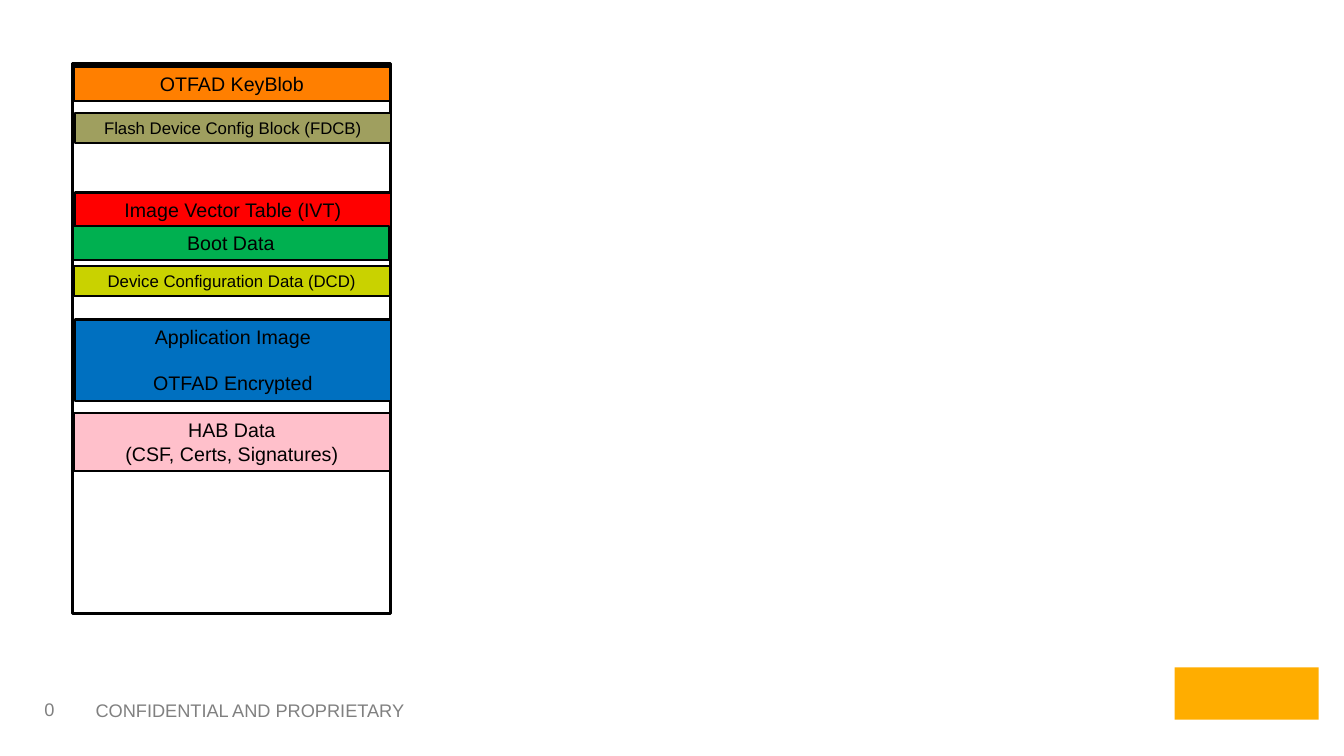
"""Build the slide showing the layout of an encrypted boot image in flash."""
from pptx import Presentation
from pptx.dml.color import RGBColor
from pptx.enum.shapes import MSO_SHAPE
from pptx.enum.text import MSO_ANCHOR, PP_ALIGN
from pptx.util import Inches, Pt

RECT = MSO_SHAPE.RECTANGLE
TOP, MIDDLE = MSO_ANCHOR.TOP, MSO_ANCHOR.MIDDLE
LEFT, CENTER = PP_ALIGN.LEFT, PP_ALIGN.CENTER
BLACK = RGBColor(0, 0, 0)
GREY = RGBColor(0x80, 0x80, 0x80)
OLIVE = RGBColor(0x9F, 0x9F, 0x5F)
RED = RGBColor(0xFF, 0, 0)
GREEN = RGBColor(0, 0xB0, 0x50)
BLUE = RGBColor(0, 0x70, 0xC0)
PINK = RGBColor(0xFF, 0xC0, 0xCB)
ORANGE = RGBColor(0xFF, 0x7F, 0)
LIME = RGBColor(0xC9, 0xD2, 0)
AMBER = RGBColor(0xFF, 0xAD, 0)

FRAME = (0.72, 0.63, 3.15, 5.46)
BADGE = (11.65, 6.62, 1.43, 0.52)
WIDE = 3.14
BLOCKS = [
    (0.74, 1.12, 0.3, OLIVE, 12, 0, ["Flash Device Config Block (FDCB)"]),
    (0.74, 1.91, 0.34, RED, 14, 0, ["Image Vector Table (IVT)"]),
    (0.72, 2.24, 0.34, GREEN, 14, 0, ["Boot Data"]),
    (0.74, 3.17, 0.81, BLUE, 14, 16, ["Application Image", "OTFAD Encrypted"]),
    (0.73, 4.1, 0.57, PINK, 14, 0, ["HAB Data", "(CSF, Certs, Signatures)"]),
    (0.73, 0.66, 0.34, ORANGE, 14, 0, ["OTFAD KeyBlob"]),
    (0.73, 2.64, 0.3, LIME, 12, 0, ["Device Configuration Data (DCD)"]),
]
NOTES = [
    ((0.85, 6.89, 3.98, 0.34), "CONFIDENTIAL AND PROPRIETARY", TOP, 0.1),
    ((0.37, 6.89, 0.65, 0.3), "0", MIDDLE, 0.07),
]


def add_box(box, fill=None, line=0):
    """Add a flat rectangle with an optional fill and black outline."""
    shape = slide.shapes.add_shape(RECT, *map(Inches, box))
    shape.shadow.inherit = False
    if fill is None:
        shape.fill.background()
    else:
        shape.fill.solid()
        shape.fill.fore_color.rgb = fill
    if line:
        shape.line.color.rgb = BLACK
        shape.line.width = Pt(line)
    else:
        shape.line.fill.background()
    return shape


def write(shape, rows, size, color, align, anchor=TOP, inset=0.1, gap=0):
    """Fill a shape with one paragraph per row, set apart by gap points."""
    frame = shape.text_frame
    form = {"word_wrap": True, "vertical_anchor": anchor,
            "margin_left": Inches(inset), "margin_right": Inches(inset)}
    for name, value in form.items():
        setattr(frame, name, value)
    for i, row in enumerate(rows):
        para = frame.add_paragraph() if i else frame.paragraphs[0]
        para.alignment = align
        para.space_before = Pt(gap if i else 0)
        run = para.add_run()
        run.text = row
        run.font.name = "Arial"
        run.font.size = Pt(size)
        run.font.color.rgb = color


deck = Presentation()
deck.slide_width, deck.slide_height = Inches(13.33), Inches(7.5)
slide = deck.slides.add_slide(deck.slide_layouts[6])

for box, text, anchor, inset in NOTES:
    note = slide.shapes.add_textbox(*map(Inches, box))
    write(note, [text], 13, GREY, LEFT, anchor, inset)

add_box(BADGE, AMBER)
add_box(FRAME, line=2)
for left, top, high, fill, size, gap, rows in BLOCKS:
    block = add_box((left, top, WIDE, high), fill, 1.5)
    write(block, rows, size, BLACK, CENTER, gap=gap)

deck.save("out.pptx")
